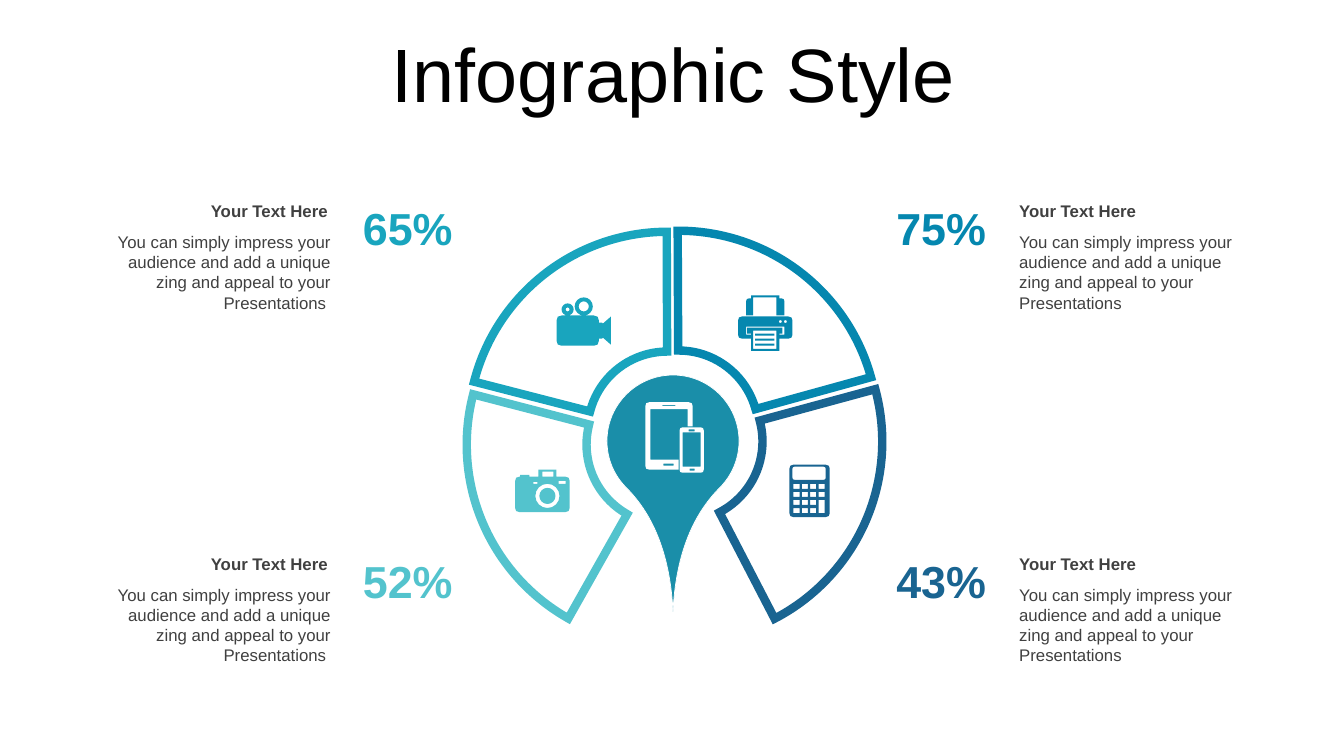
from math import cos, pi, sin

from lxml.etree import SubElement
from pptx import Presentation
from pptx.dml.color import RGBColor
from pptx.enum.shapes import MSO_SHAPE
from pptx.enum.text import MSO_ANCHOR, MSO_AUTO_SIZE, PP_ALIGN
from pptx.oxml.ns import qn
from pptx.util import Inches, Pt

CYAN, BLUE, NAVY, AQUA = "19A5BE", "0587AF", "196491", "53C3CD"
TEAL, WHITE, GREY, BLACK = "1A8EA9", "FFFFFF", "404040", "000000"
BODY = "You can simply impress your audience and add a unique zing and appeal to your Presentations"


def color(value):
    return RGBColor.from_string(value)


def outline(*corners):
    points = []
    for index, (x, y, *radius) in enumerate(corners):
        if not radius:
            points.append((x, y))
            continue
        ends = []
        for neighbor in (corners[index - 1], corners[(index + 1) % len(corners)]):
            dx, dy = neighbor[0] - x, neighbor[1] - y
            reach = radius[0] / (dx * dx + dy * dy) ** 0.5
            ends.append((x + dx * reach, y + dy * reach))
        (start_x, start_y), (end_x, end_y) = ends
        middle = ((start_x + 2 * x + end_x) / 4, (start_y + 2 * y + end_y) / 4)
        points += [ends[0], middle, ends[1]]
    return points


def box(left, top, right, bottom, *radius):
    corners = ((left, top), (right, top), (right, bottom), (left, bottom))
    return outline(*((x, y, *radius) for x, y in corners))


def circle(x, y, radius, sides=16):
    angles = [2 * pi * step / sides for step in range(sides)]
    return [(x + radius * cos(angle), y + radius * sin(angle)) for angle in angles]


class InfographicSlide:
    font = {"name": "Arial", "size": Pt(12), "bold": False}

    def __init__(self, presentation):
        self.slide = presentation.slides.add_slide(presentation.slide_layouts[6])
        self.shapes = self.slide.shapes

    def start_group(self):
        self.shapes = self.slide.shapes.add_group_shape().shapes

    def end_group(self):
        self.shapes = self.slide.shapes

    def text(self, text, left, top, width, height, hue, align, **changes):
        shape = self.shapes.add_textbox(Inches(left), Inches(top), Inches(width), Inches(height))
        frame = shape.text_frame
        frame.word_wrap = True
        frame.auto_size = MSO_AUTO_SIZE.SHAPE_TO_FIT_TEXT
        paragraph = frame.paragraphs[0]
        paragraph.alignment = align
        run = paragraph.add_run()
        run.text = text
        for name, value in {**self.font, **changes}.items():
            setattr(run.font, name, value)
        run.font.color.rgb = color(hue)
        return frame

    def preset(self, kind, left, top, size, rotation, adjustments, fill, line, width):
        shape = self.shapes.add_shape(kind, Inches(left), Inches(top), Inches(size), Inches(size))
        for index, value in enumerate(adjustments):
            shape.adjustments[index] = value
        shape.rotation = rotation
        shape.shadow.inherit = False
        shape.fill.solid()
        shape.fill.fore_color.rgb = color(fill)
        shape.line.color.rgb = color(line)
        shape.line.width = Pt(width)
        miter = SubElement(shape.element.spPr.find(qn("a:ln")), qn("a:miter"))
        miter.set("lim", "800000")

    def icon(self, fill, *contours):
        builder = None
        for contour in contours:
            points = [(Inches(x), Inches(y)) for x, y in contour]
            if builder is None:
                builder = self.shapes.build_freeform(*points[0])
            else:
                builder.move_to(*points[0])
            builder.add_line_segments(points[1:], close=True)
        shape = builder.convert_to_shape()
        shape.shadow.inherit = False
        shape.fill.solid()
        shape.fill.fore_color.rgb = color(fill)
        shape.line.fill.background()


def draw_icons(page):
    keys = [
        box(7.87 + 0.083 * column, 4.8 + 0.08 * row, 7.93 + 0.083 * column,
            4.85 + 0.08 * (row + (column == 3 and row == 2)))
        for row in range(4) for column in range(4) if (row, column) != (3, 3)
    ]
    page.icon(NAVY, box(7.83, 4.61, 8.23, 5.13, 0.04), box(7.86, 4.63, 8.19, 4.76, 0.02), *keys)
    page.icon(
        BLUE,
        outline((7.32, 3.14, 0.04), (7.86, 3.14, 0.04), (7.86, 3.36, 0.04), (7.73, 3.36),
                (7.73, 3.48), (7.45, 3.48), (7.45, 3.36), (7.32, 3.36, 0.04)),
        outline((7.4, 2.96, 0.03), (7.45, 2.96), (7.45, 2.93), (7.73, 2.93), (7.73, 2.96),
                (7.78, 2.96, 0.03), (7.78, 3.13), (7.7, 3.13), (7.7, 2.95), (7.47, 2.95),
                (7.47, 3.13), (7.4, 3.13)),
        outline((7.4, 3.24), (7.78, 3.24), (7.78, 3.32), (7.73, 3.32), (7.73, 3.31),
                (7.76, 3.31), (7.76, 3.25), (7.41, 3.25), (7.41, 3.31), (7.45, 3.31),
                (7.45, 3.32), (7.4, 3.32)),
        box(7.47, 3.28, 7.7, 3.46),
        *(box(7.49, top, 7.68, top + 0.02) for top in (3.31, 3.36, 3.41)),
        *(circle(x, 3.19, 0.015, 8) for x in (7.74, 7.79)),
    )
    page.icon(
        AQUA,
        outline((5.11, 4.73, 0.04), (5.16, 4.73), (5.16, 4.71), (5.25, 4.71), (5.25, 4.73),
                (5.34, 4.73), (5.34, 4.66), (5.52, 4.66), (5.52, 4.73),
                (5.65, 4.73, 0.04), (5.65, 5.08, 0.04), (5.11, 5.08, 0.04)),
        box(5.38, 4.68, 5.49, 4.73),
        box(5.29, 4.78, 5.33, 4.8),
        box(5.54, 4.77, 5.61, 4.8),
        circle(5.43, 4.92, 0.12),
        circle(5.43, 4.92, 0.08),
    )
    page.icon(
        CYAN,
        outline((5.52, 3.13, 0.05), (5.94, 3.13, 0.05), (5.94, 3.2), (5.97, 3.2), (5.98, 3.21),
                (6.06, 3.14), (6.06, 3.42), (5.98, 3.35), (5.97, 3.36), (5.94, 3.36),
                (5.94, 3.43, 0.05), (5.52, 3.43, 0.05)),
        circle(5.63, 3.07, 0.06),
        circle(5.63, 3.07, 0.02, 8),
        circle(5.79, 3.04, 0.09),
        circle(5.79, 3.04, 0.05),
    )


def main():
    presentation = Presentation()
    presentation.slide_width, presentation.slide_height = Inches(13.33), Inches(7.5)
    page = InfographicSlide(presentation)

    title = page.text("Infographic Style", 0.35, 0.31, 12.66, 0.92, BLACK, PP_ALIGN.CENTER,
                      size=Pt(54))
    title.auto_size = MSO_AUTO_SIZE.NONE
    title.vertical_anchor = MSO_ANCHOR.MIDDLE
    title.paragraphs[0].line_spacing = 0.9

    page.start_group()
    for left, top, rotation, start, end, hue in (
        (4.64, 2.3, 0, 116.65, 161.88, CYAN),
        (4.75, 2.29, 75, 116.85, 161.74, BLUE),
        (4.79, 2.4, 153, 115.08, 161.74, NAVY),
        (4.63, 2.43, 285, 116.65, 161.74, AQUA),
    ):
        page.preset(MSO_SHAPE.BLOCK_ARC, left, top, 3.96, rotation, (start, end, 0.3),
                    WHITE, hue, 6)
    page.end_group()
    page.preset(MSO_SHAPE.TEAR, 6.02, 3.72, 1.31, 135, (1.83,), TEAL, WHITE, 0.5)
    page.icon(
        WHITE,
        outline((6.4, 3.99, 0.04), (6.87, 3.99, 0.04), (6.87, 4.23), (6.82, 4.23), (6.82, 4.06),
                (6.45, 4.06), (6.45, 4.56), (6.73, 4.56), (6.73, 4.66), (6.4, 4.66, 0.04)),
        box(6.57, 4.02, 6.7, 4.03),
        box(6.58, 4.6, 6.68, 4.62),
        box(6.74, 4.24, 6.98, 4.69, 0.03),
        box(6.77, 4.29, 6.95, 4.63),
        box(6.83, 4.26, 6.89, 4.28),
        box(6.84, 4.65, 6.89, 4.67),
    )

    right_side = (8.77, 10.01, 10.01, PP_ALIGN.LEFT, BODY)
    left_side = (3.48, 0.98, 0.99, PP_ALIGN.RIGHT, BODY + " ")
    for percent, hue, top, side in (
        ("75%", BLUE, 1.94, right_side),
        ("43%", NAVY, 5.44, right_side),
        ("65%", CYAN, 1.94, left_side),
        ("52%", AQUA, 5.44, left_side),
    ):
        percent_left, heading_left, body_left, align, body = side
        page.start_group()
        page.text(body, body_left, top + 0.31, 2.39, 0.91, GREY, align)
        page.text("Your Text Here", heading_left, top, 2.37, 0.3, GREY, align, bold=True)
        page.end_group()
        page.text(percent, percent_left, top, 1.13, 0.64, hue, PP_ALIGN.CENTER,
                  size=Pt(32), bold=True)

    draw_icons(page)
    presentation.save("out.pptx")


if __name__ == "__main__":
    main()
